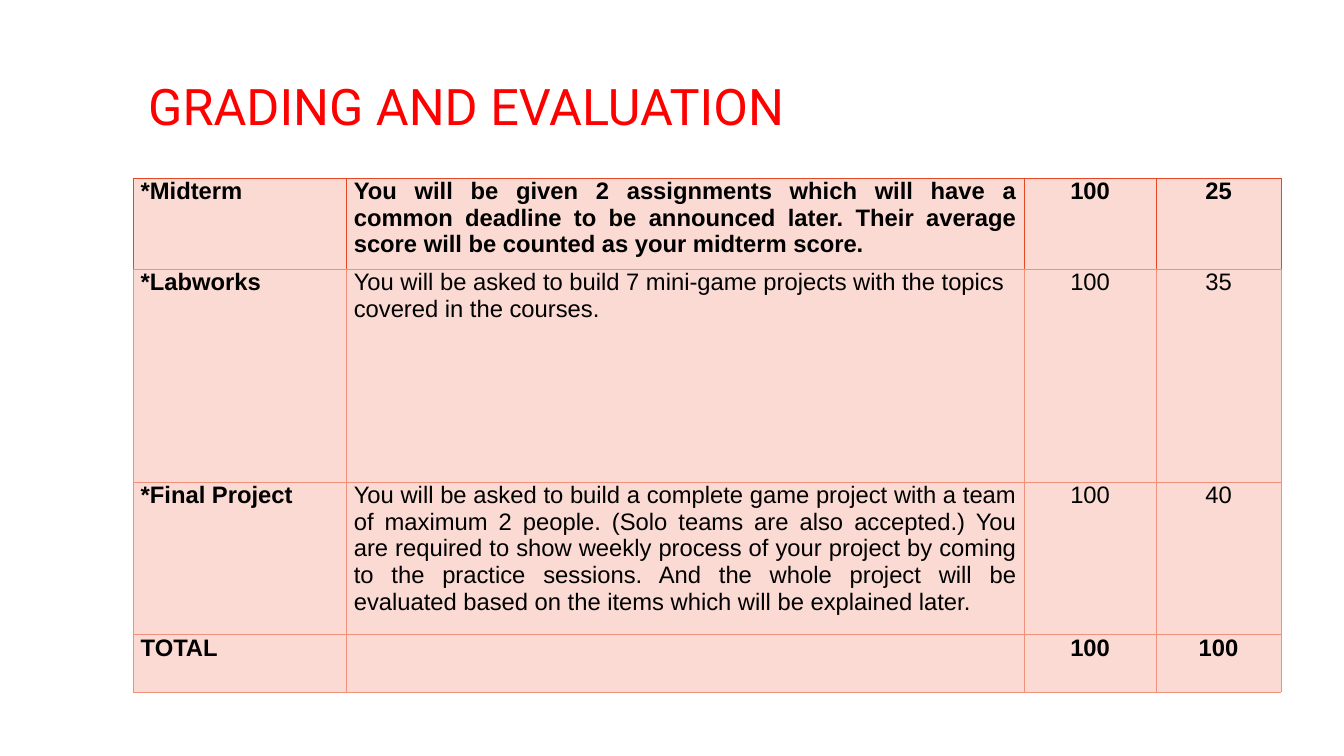
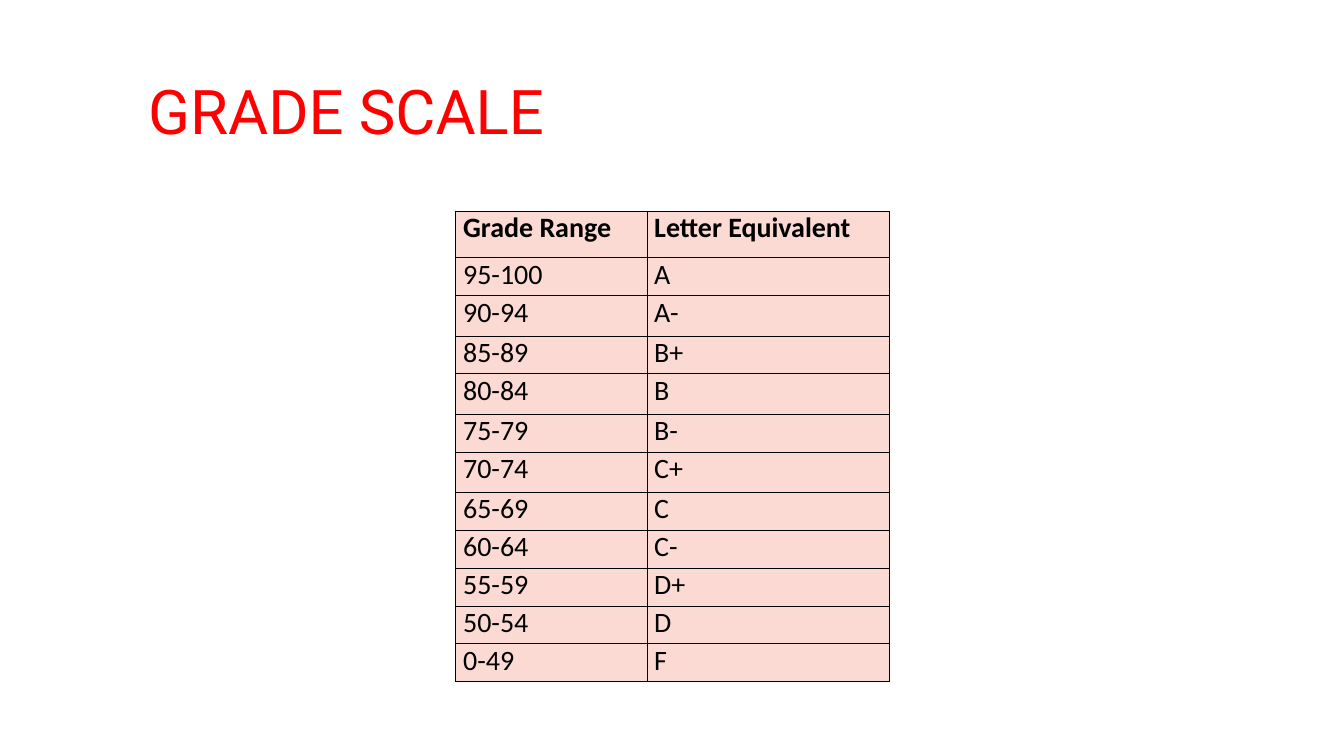
from dataclasses import dataclass

from lxml.etree import SubElement
from pptx import Presentation
from pptx.dml.color import RGBColor as Rgb
from pptx.enum.text import MSO_ANCHOR as Anchor, MSO_AUTO_SIZE as AutoSize, PP_ALIGN as Align
from pptx.oxml.ns import qn
from pptx.util import Cm, Pt


@dataclass(frozen=True)
class Theme:
    title_color: str = "FF0000"
    text_color: str = "000000"
    cell_fill: str = "FADAD2"
    header_border: str = "E64823"
    body_border: str = "EF917B"
    scale_border: str = "000000"
    border_width: float = 0.5
    title_font: str = "Roboto"
    grading_font: str = "Arial"
    scale_font: str = "Calibri"
    grading_title_size: int = 72
    scale_title_size: int = 88
    grading_size: int = 34
    scale_size: int = 40


THEME = Theme()

# Each grading row: height in cm, label, description, its alignment, points, weight
GRADING_ROWS = [
    (4.6, "*Midterm",
     "You will be given 2 assignments which will have a common deadline to be "
     "announced later. Their average score will be counted as your midterm score.",
     Align.JUSTIFY, "100", "25"),
    (10.74, "*Labworks",
     "You will be asked to build 7 mini-game projects with the topics covered "
     "in the courses.",
     Align.LEFT, "100", "35"),
    (7.67, "*Final Project",
     "You will be asked to build a complete game project with a team of maximum "
     "2 people. (Solo teams are also accepted.) You are required to show weekly "
     "process of your project by coming to the practice sessions. And the whole "
     "project will be evaluated based on the items which will be explained later.",
     Align.JUSTIFY, "100", "40"),
    (2.9, "TOTAL", "", Align.JUSTIFY, "100", "100"),
]

GRADE_SCALE = [
    ("Grade Range", "Letter Equivalent"),
    ("95-100", "A"), ("90-94", "A-"), ("85-89", "B+"), ("80-84", "B"),
    ("75-79", "B-"), ("70-74", "C+"), ("65-69", "C"), ("60-64", "C-"),
    ("55-59", "D+"), ("50-54", "D"), ("0-49", "F"),
]


def add_run(paragraph, text, font_name, size, color, bold=False):
    run = paragraph.add_run()
    run.text = text
    run.font.name = font_name
    run.font.size = Pt(size)
    run.font.bold = bold
    run.font.color.rgb = Rgb.from_string(color)


def add_titled_slide(presentation, text, size):
    slide = presentation.slides.add_slide(presentation.slide_layouts[5])
    title = slide.shapes.title
    title.left, title.top = Cm(6.96), Cm(3.86)
    title.width, title.height = Cm(56.54), Cm(8.28)

    frame = title.text_frame
    frame.word_wrap = True
    frame.auto_size = AutoSize.NONE
    frame.vertical_anchor = Anchor.TOP
    frame.margin_left = frame.margin_right = Cm(0.51)
    frame.margin_top = frame.margin_bottom = Cm(0.25)

    paragraph = frame.paragraphs[0]
    paragraph.alignment = Align.LEFT
    paragraph.line_spacing = 0.9
    add_run(paragraph, text, THEME.title_font, size, THEME.title_color)
    return slide


def add_plain_table(slide, left, top, widths, heights):
    frame = slide.shapes.add_table(len(heights), len(widths), Cm(left), Cm(top),
                                   Cm(sum(widths)), Cm(sum(heights)))
    table = frame.table
    table.first_row = table.horz_banding = False
    for column, width in zip(table.columns, widths):
        column.width = Cm(width)
    for row, height in zip(table.rows, heights):
        row.height = Cm(height)
    return table


def set_borders(cell, color):
    properties = cell._tc.get_or_add_tcPr()
    # Border lines have to stand before the fill
    for position, side in enumerate(("lnL", "lnR", "lnT", "lnB")):
        line = SubElement(properties, qn(f"a:{side}"), w=str(Pt(THEME.border_width)))
        fill = SubElement(line, qn("a:solidFill"))
        SubElement(fill, qn("a:srgbClr"), val=color)
        properties.insert(position, line)


def fill_cell(cell, text, font_name, size, border, bold=False, alignment=Align.LEFT):
    cell.fill.solid()
    cell.fill.fore_color.rgb = Rgb.from_string(THEME.cell_fill)
    set_borders(cell, border)
    cell.vertical_anchor = Anchor.TOP
    cell.margin_left = cell.margin_right = Cm(0.38)
    cell.margin_top = cell.margin_bottom = 0
    paragraph = cell.text_frame.paragraphs[0]
    paragraph.alignment = alignment
    if text:
        add_run(paragraph, text, font_name, size, THEME.text_color, bold)


def add_grading_slide(presentation):
    slide = add_titled_slide(presentation, "GRADING AND EVALUATION",
                             THEME.grading_title_size)
    table = add_plain_table(slide, 6.71, 8.97, [10.74, 34.16, 6.65, 6.3],
                            [row[0] for row in GRADING_ROWS])
    last = len(GRADING_ROWS) - 1
    for r, (_, label, description, alignment, points, weight) in enumerate(GRADING_ROWS):
        border = THEME.header_border if r == 0 else THEME.body_border
        alignments = (Align.JUSTIFY, alignment, Align.CENTER, Align.CENTER)
        for c, text in enumerate((label, description, points, weight)):
            # The label column and the outer rows are bold
            fill_cell(table.cell(r, c), text, THEME.grading_font, THEME.grading_size,
                      border, c == 0 or r in (0, last), alignments[c])


def add_scale_slide(presentation):
    slide = add_titled_slide(presentation, "GRADE SCALE", THEME.scale_title_size)
    # Rows 2, 4 and 6 are slightly taller than the rest
    heights = [2.36] + [2.03 if r in (2, 4, 6) else 1.91
                        for r in range(1, len(GRADE_SCALE))]
    table = add_plain_table(slide, 22.96, 10.62, [9.63, 12.22], heights)
    for r, row in enumerate(GRADE_SCALE):
        for c, text in enumerate(row):
            fill_cell(table.cell(r, c), text, THEME.scale_font, THEME.scale_size,
                      THEME.scale_border, bold=r == 0)


def main():
    presentation = Presentation()
    presentation.slide_width, presentation.slide_height = Cm(67.73), Cm(38.1)
    add_grading_slide(presentation)
    add_scale_slide(presentation)
    presentation.save("out.pptx")


if __name__ == "__main__":
    main()
